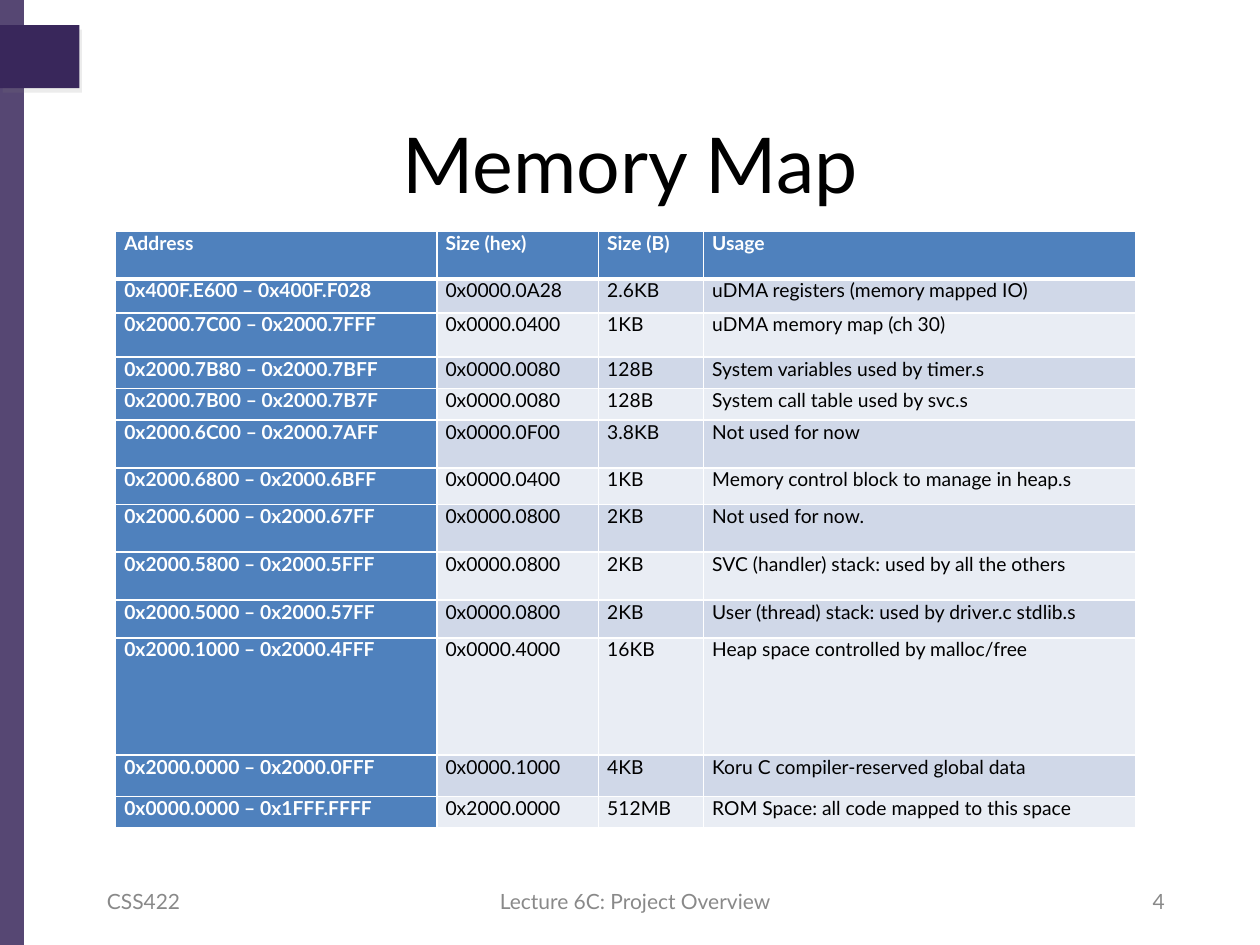
from dataclasses import dataclass

from lxml import etree
from pptx import Presentation
from pptx.dml.color import RGBColor
from pptx.enum.shapes import MSO_SHAPE
from pptx.enum.text import MSO_ANCHOR, PP_ALIGN
from pptx.oxml import parse_xml
from pptx.oxml.ns import qn
from pptx.util import Inches, Pt

RECTANGLE = MSO_SHAPE.RECTANGLE
MIDDLE, TOP = MSO_ANCHOR.MIDDLE, MSO_ANCHOR.TOP
LEFT, CENTER, RIGHT = PP_ALIGN.LEFT, PP_ALIGN.CENTER, PP_ALIGN.RIGHT
NAMESPACE = "http://schemas.openxmlformats.org/drawingml/2006/main"
TITLE_ONLY = 5
GRID_COLUMNS, GRID_ROWS = 120, 90

COLUMN_WIDTHS = (30.6, 15.4, 10, 41.2)
HEADINGS = ("Address", "Size (hex)", "Size (B)", "Usage")
HEADING_HEIGHT = 4.56
REGIONS = (
    (3.24, "0x400F.E600 – 0x400F.F028", "0x0000.0A28", "2.6KB", "uDMA registers (memory mapped IO)"),
    (4.2, "0x2000.7C00 – 0x2000.7FFF", "0x0000.0400", "1KB", "uDMA memory map (ch 30)"),
    (3, "0x2000.7B80 – 0x2000.7BFF", "0x0000.0080", "128B", "System variables used by timer.s"),
    (3, "0x2000.7B00 – 0x2000.7B7F", "0x0000.0080", "128B", "System call table used by svc.s"),
    (4.56, "0x2000.6C00 – 0x2000.7AFF", "0x0000.0F00", "3.8KB", "Not used for now"),
    (3.48, "0x2000.6800 – 0x2000.6BFF", "0x0000.0400", "1KB", "Memory control block to manage in heap.s"),
    (4.56, "0x2000.6000 – 0x2000.67FF", "0x0000.0800", "2KB", "Not used for now."),
    (4.56, "0x2000.5800 – 0x2000.5FFF", "0x0000.0800", "2KB", "SVC (handler) stack: used by all the others"),
    (3.6, "0x2000.5000 – 0x2000.57FF", "0x0000.0800", "2KB", "User (thread) stack: used by driver.c stdlib.s"),
    (11.16, "0x2000.1000 – 0x2000.4FFF", "0x0000.4000", "16KB", "Heap space controlled by malloc/free"),
    (3.96, "0x2000.0000 – 0x2000.0FFF", "0x0000.1000", "4KB", "Koru C compiler-reserved global data"),
    (3, "0x0000.0000 – 0x1FFF.FFFF", "0x2000.0000", "512MB", "ROM Space: all code mapped to this space"),
)


@dataclass(frozen=True)
class Theme:
    font: str = "Lato"
    purple: str = "39275B"
    shadow: str = "808080"
    blue: str = "4F81BD"
    bands: tuple = ("D0D8E8", "E9EDF4")
    white: str = "FFFFFF"
    black: str = "000000"
    grey: str = "898989"
    title_size: int = 44
    footer_size: int = 12
    table_size: int = 11
    thin: int = 1
    thick: int = 3


def write_text(frame, text, *, font, size, color, bold=False, align=LEFT):
    paragraph = frame.paragraphs[0]
    paragraph.alignment = align
    run = paragraph.add_run()
    run.text = text
    run.font.name = font
    run.font.size = Pt(size)
    run.font.bold = bold
    run.font.color.rgb = RGBColor.from_string(color)


class SlideBuilder:
    def __init__(self, presentation, theme):
        self.theme = theme
        self.column = presentation.slide_width / GRID_COLUMNS
        self.row = presentation.slide_height / GRID_ROWS
        self.slide = presentation.slides.add_slide(presentation.slide_layouts[TITLE_ONLY])

    def box(self, left, top, width, height):
        return (round(left * self.column), round(top * self.row),
                round(width * self.column), round(height * self.row))

    def title(self, text, *area):
        shape = self.slide.shapes.title
        shape.left, shape.top, shape.width, shape.height = self.box(*area)
        shape.text_frame.vertical_anchor = MIDDLE
        write_text(shape.text_frame, text, font=self.theme.font, size=self.theme.title_size,
                   color=self.theme.black, align=CENTER)

    def bar(self, *area, opacity=100, shadow=False):
        shape = self.slide.shapes.add_shape(RECTANGLE, *self.box(*area))
        shape.shadow.inherit = False
        shape.line.fill.background()
        shape.fill.solid()
        shape.fill.fore_color.rgb = RGBColor.from_string(self.theme.purple)
        if opacity < 100:
            color = shape.fill._xPr.find(".//" + qn("a:srgbClr"))
            etree.SubElement(color, qn("a:alpha"), val=str(opacity * 1000))
        if shadow:
            effects = shape._element.spPr.find(qn("a:effectLst"))
            effects.append(parse_xml(
                f'<a:outerShdw xmlns:a="{NAMESPACE}" dist="{Pt(3)}" dir="3600000" rotWithShape="0">'
                f'<a:srgbClr val="{self.theme.shadow}"><a:alpha val="15000"/></a:srgbClr>'
                '</a:outerShdw>'))

    def footer(self, text, *area, align):
        frame = self.slide.shapes.add_textbox(*self.box(*area)).text_frame
        frame.word_wrap = True
        frame.vertical_anchor = MIDDLE
        write_text(frame, text, font=self.theme.font, size=self.theme.footer_size,
                   color=self.theme.grey, align=align)

    def cell(self, cell, text, *, fill, color, bold, top, bottom):
        cell.margin_left = cell.margin_right = Inches(0.07)
        cell.margin_top = cell.margin_bottom = 0
        cell.vertical_anchor = TOP
        write_text(cell.text_frame, text, font=self.theme.font, size=self.theme.table_size,
                   color=color, bold=bold)
        properties = cell._tc.get_or_add_tcPr()
        for side, width in zip("LRTB", (self.theme.thin, self.theme.thin, top, bottom)):
            properties.append(parse_xml(
                f'<a:ln{side} xmlns:a="{NAMESPACE}" w="{Pt(width)}"><a:solidFill>'
                f'<a:srgbClr val="{self.theme.white}"/></a:solidFill></a:ln{side}>'))
        cell.fill.solid()
        cell.fill.fore_color.rgb = RGBColor.from_string(fill)

    def table(self, left, top, widths, rows):
        theme = self.theme
        area = self.box(left, top, sum(widths), sum(height for height, *_ in rows))
        table = self.slide.shapes.add_table(len(rows), len(widths), *area).table
        for column, width in zip(table.columns, widths):
            column.width = round(width * self.column)
        for row_index, (height, *texts) in enumerate(rows):
            table.rows[row_index].height = round(height * self.row)
            for column_index, text in enumerate(texts):
                heading = row_index == 0 or column_index == 0
                self.cell(
                    table.cell(row_index, column_index), text,
                    fill=theme.blue if heading else theme.bands[(row_index - 1) % 2],
                    color=theme.white if heading else theme.black,
                    bold=heading,
                    top=theme.thick if row_index == 1 else theme.thin,
                    bottom=theme.thick if row_index == 0 else theme.thin)


def main():
    presentation = Presentation()
    presentation.slide_width, presentation.slide_height = Inches(10), Inches(7.5)
    builder = SlideBuilder(presentation, Theme())
    builder.bar(0, 0, 2.28, GRID_ROWS, opacity=85)
    builder.bar(0, 2.4, 7.56, 6, shadow=True)
    builder.title("Memory Map", 6, 10, 108, 11)
    builder.footer("CSS422", 9, 83.4, 28, 4.8, align=LEFT)
    builder.footer("Lecture 6C: Project Overview", 41.5, 83.4, 38, 4.8, align=CENTER)
    builder.footer("4", 84.1, 83.4, 28, 4.8, align=RIGHT)
    builder.table(11, 22, COLUMN_WIDTHS, ((HEADING_HEIGHT, *HEADINGS), *REGIONS))
    presentation.save("out.pptx")


if __name__ == "__main__":
    main()
